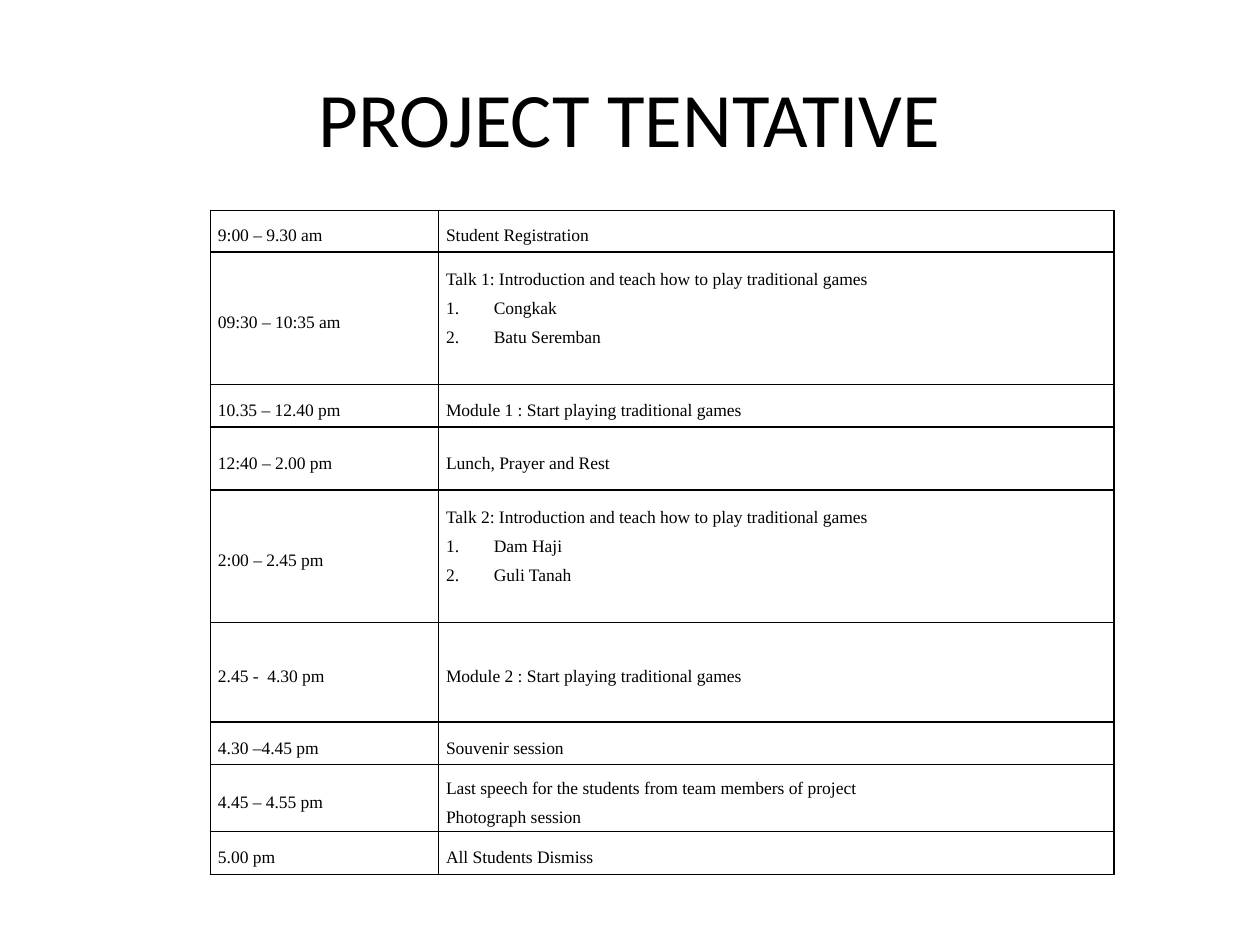
from dataclasses import dataclass

from lxml import etree
from pptx import Presentation, util as u
from pptx.dml.color import RGBColor
from pptx.enum import text
from pptx.oxml.ns import qn

BLACK, WHITE = "000000", "FFFFFF"
COLUMN_SHARES = (0.181, 0.536)  # of the slide's width
LINE = 0.23  # height in inches of one line of table text
INDENT = 0.38


@dataclass
class Session:
    time: str
    lines: tuple[str, ...]
    height: float
    games: tuple[str, ...] = ()


TALK = "Introduction and teach how to play traditional games"
SESSIONS = (
    Session("9:00 – 9.30 am", ("Student Registration",), 0.33),
    Session("09:30 – 10:35 am", (f"Talk 1: {TALK}",), 1.05,
            ("Congkak", "Batu Seremban")),
    Session("10.35 – 12.40 pm",
            ("Module 1 : Start playing traditional games",), 0.34),
    Session("12:40 – 2.00 pm", ("Lunch, Prayer and Rest",), 0.5),
    Session("2:00 – 2.45 pm", (f"Talk 2: {TALK}",), 1.05,
            ("Dam Haji", "Guli Tanah")),
    Session("2.45 -  4.30 pm",
            ("Module 2 : Start playing traditional games",), 0.79),
    Session("4.30 –4.45 pm", ("Souvenir session",), 0.34),
    Session("4.45 – 4.55 pm",
            ("Last speech for the students from team members of project",
             "Photograph session"), 0.53),
    Session("5.00 pm", ("All Students Dismiss",), 0.34),
)


def color(value: str) -> RGBColor:
    return RGBColor.from_string(value)


def add_run(p, words: str, font: str, size: float) -> None:
    r = p.add_run()
    r.text = words
    r.font.name = font
    r.font.size = u.Pt(size)
    r.font.color.rgb = color(BLACK)


def number_paragraph(p) -> None:
    pPr = p._p.get_or_add_pPr()
    pPr.set("marL", str(u.Inches(INDENT)))
    pPr.set("indent", str(-u.Inches(INDENT)))
    etree.SubElement(pPr, qn("a:buAutoNum"), type="arabicPeriod")


def add_borders(cell) -> None:
    tcPr = cell._tc.get_or_add_tcPr()
    for side in ("L", "R", "T", "B"):
        ln = etree.SubElement(tcPr, qn(f"a:ln{side}"), w=str(u.Pt(1)))
        fill = etree.SubElement(ln, qn("a:solidFill"))
        etree.SubElement(fill, qn("a:srgbClr"), val=BLACK)


def fill_cell(cell, lines: tuple[str, ...], games: tuple[str, ...] = ()) -> None:
    add_borders(cell)
    cell.fill.solid()
    cell.fill.fore_color.rgb = color(WHITE)
    cell.vertical_anchor = text.MSO_ANCHOR.MIDDLE
    cell.margin_left = cell.margin_right = u.Inches(0.06)
    cell.margin_top = 0
    cell.margin_bottom = u.Inches(LINE if games else 0)
    tf = cell.text_frame
    for i, words in enumerate(lines + games):
        p = tf.add_paragraph() if i else tf.paragraphs[0]
        if i >= len(lines):
            number_paragraph(p)
        p.alignment = text.PP_ALIGN.JUSTIFY
        p.line_spacing = 1.5
        add_run(p, words, "Times New Roman", 10)


def add_title(prs, s) -> None:
    sp = s.shapes.title
    sp.left, sp.top = int(prs.slide_width * 0.05), int(prs.slide_height * 0.04)
    sp.width, sp.height = int(prs.slide_width * 0.9), u.Inches(1.25)
    sp.text_frame.vertical_anchor = text.MSO_ANCHOR.MIDDLE
    p = sp.text_frame.paragraphs[0]
    p.alignment = text.PP_ALIGN.CENTER
    add_run(p, "PROJECT TENTATIVE", "Calibri", 44)


def add_schedule(prs, s) -> None:
    widths = [int(prs.slide_width * share) for share in COLUMN_SHARES]
    height = u.Inches(sum(session.height for session in SESSIONS))
    table = s.shapes.add_table(len(SESSIONS), len(widths), u.Inches(1.67),
                               u.Inches(1.67), sum(widths), height).table
    table.first_row = table.horz_banding = False
    for column, width in zip(table.columns, widths):
        column.width = width
    for row, session in zip(table.rows, SESSIONS):
        row.height = u.Inches(session.height)
        fill_cell(row.cells[0], (session.time,))
        fill_cell(row.cells[1], session.lines, session.games)


def main() -> None:
    prs = Presentation()
    prs.slide_width, prs.slide_height = u.Inches(10), u.Inches(7.5)
    s = prs.slides.add_slide(prs.slide_layouts[5])
    add_title(prs, s)
    add_schedule(prs, s)
    prs.save("out.pptx")


if __name__ == "__main__":
    main()
